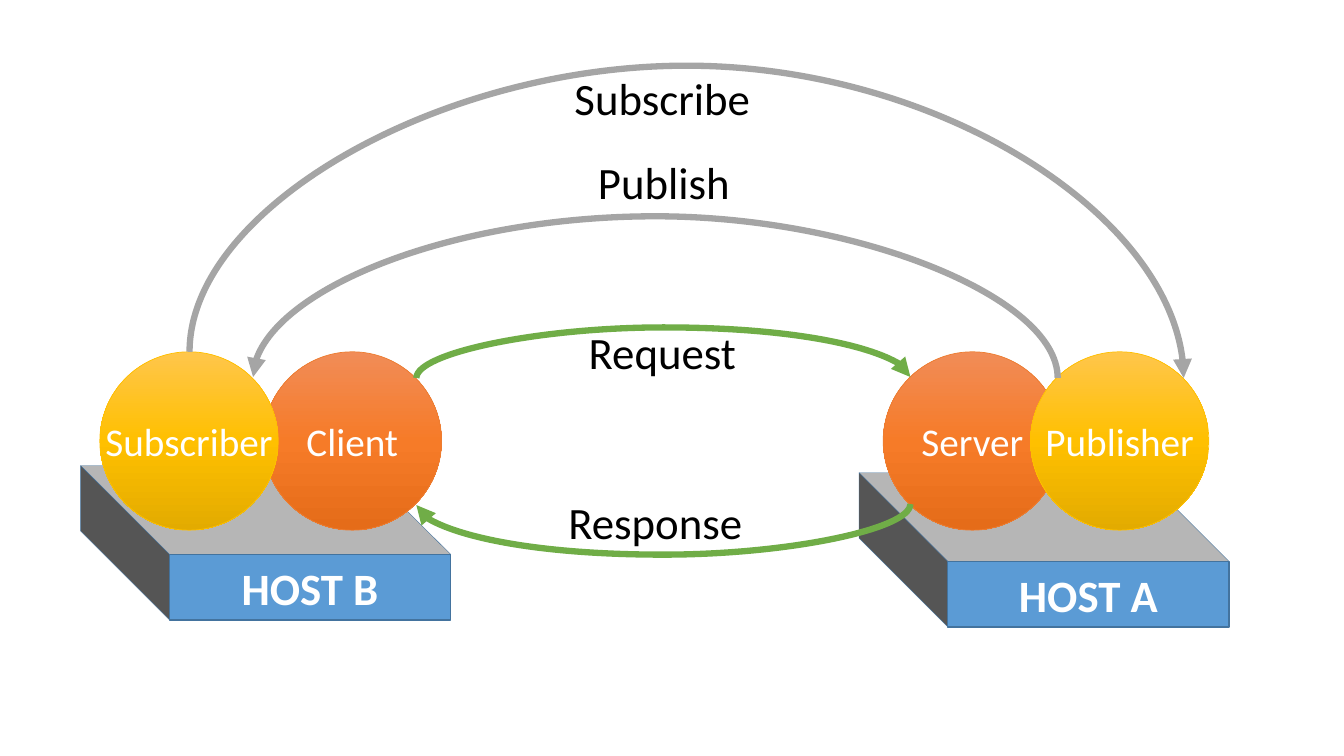
import copy

import lxml.etree
import pptx
import pptx.dml.color
import pptx.enum.shapes
import pptx.enum.text
import pptx.oxml.ns
import pptx.util
from pptx.util import Inches

RGBColor = pptx.dml.color.RGBColor
WHITE = RGBColor(0xFF, 0xFF, 0xFF)
BLACK = RGBColor(0x00, 0x00, 0x00)
BLUE = RGBColor(0x5B, 0x9B, 0xD5)
DARK_BLUE = RGBColor(0x43, 0x73, 0x9E)
LIGHT_GRAY = RGBColor(0xB6, 0xB6, 0xB6)
DARK_GRAY = RGBColor(0x55, 0x55, 0x55)
GRAY = RGBColor(0xA5, 0xA5, 0xA5)
GREEN = RGBColor(0x70, 0xAD, 0x47)
ORANGE = RGBColor(0xED, 0x7D, 0x31)
ORANGE_STOPS = [RGBColor(0xF1, 0x8C, 0x57), RGBColor(0xF6, 0x7B, 0x28), RGBColor(0xE5, 0x6C, 0x19)]
GOLD = RGBColor(0xFF, 0xC0, 0x00)
GOLD_STOPS = [RGBColor(0xFF, 0xC6, 0x4B), GOLD, RGBColor(0xE3, 0xAB, 0x00)]

HOST_WIDTH, HOST_HEIGHT, HOST_DEPTH = 2.79, 0.65, 0.88
CIRCLE_TOP, CIRCLE_SIZE = 3.49, 1.77

HOST_FONT = {"size": pptx.util.Pt(32), "bold": True}
CIRCLE_FONT = {"size": pptx.util.Pt(28)}
LABEL_FONT = {"size": pptx.util.Pt(32)}


def write_text(shape, text, color, font_format, wrap):
    frame = shape.text_frame
    frame.word_wrap = wrap
    para = frame.paragraphs[0]
    para.alignment = pptx.enum.text.PP_ALIGN.CENTER
    span = para.add_run()
    span.text = text
    span.font.name = "Calibri"
    span.font.color.rgb = color
    for name, value in font_format.items():
        setattr(span.font, name, value)


def paint(shape, fill, line, weight):
    shape.shadow.inherit = False
    shape.fill.solid()
    shape.fill.fore_color.rgb = fill
    shape.line.color.rgb = line
    shape.line.width = pptx.util.Pt(weight)


def add_face(page, points, fill):
    corners = [(Inches(x), Inches(y)) for x, y in points]
    builder = page.shapes.build_freeform(*corners[0])
    builder.add_line_segments(corners[1:], close=True)
    paint(builder.convert_to_shape(), fill, DARK_BLUE, 0.25)


def add_host(page, text, left, top):
    right, bottom = left + HOST_WIDTH, top + HOST_HEIGHT
    back_left, back_top = left - HOST_DEPTH, top - HOST_DEPTH
    add_face(page, [(left, top), (right, top), (right - HOST_DEPTH, back_top), (back_left, back_top)], LIGHT_GRAY)
    add_face(page, [(left, top), (left, bottom), (back_left, bottom - HOST_DEPTH), (back_left, back_top)], DARK_GRAY)
    front = page.shapes.add_shape(
        pptx.enum.shapes.MSO_SHAPE.RECTANGLE, Inches(left), Inches(top), Inches(HOST_WIDTH), Inches(HOST_HEIGHT))
    paint(front, BLUE, DARK_BLUE, 1)
    write_text(front, text, WHITE, HOST_FONT, True)


def add_circle(page, text, left, line, stops, wrap):
    circle = page.shapes.add_shape(
        pptx.enum.shapes.MSO_SHAPE.OVAL, Inches(left), Inches(CIRCLE_TOP), Inches(CIRCLE_SIZE), Inches(CIRCLE_SIZE))
    paint(circle, line, line, 0.5)
    circle.fill.gradient()
    circle.fill.gradient_angle = 270
    stop_list = circle._element.spPr.find(".//" + pptx.oxml.ns.qn("a:gsLst"))
    stop_list.append(copy.deepcopy(stop_list[0]))
    for index, (stop, color) in enumerate(zip(circle.fill.gradient_stops, stops)):
        stop.position = index / 2
        stop.color.rgb = color
    write_text(circle, text, WHITE, CIRCLE_FONT, wrap)


def add_label(page, text, left, top, width):
    box = page.shapes.add_textbox(Inches(left), Inches(top), Inches(width), Inches(0.64))
    write_text(box, text, BLACK, LABEL_FONT, False)
    box.text_frame.auto_size = pptx.enum.text.MSO_AUTO_SIZE.SHAPE_TO_FIT_TEXT


def add_arc(page, start, end, bend, color):
    (start_x, start_y), (end_x, end_y) = start, end
    rise, reach = abs(end_y - start_y), abs(end_x - start_x)
    left = (start_x + end_x - rise) / 2
    top = (start_y + end_y - reach) / 2
    arc = page.shapes.add_connector(
        pptx.enum.shapes.MSO_CONNECTOR.CURVE, Inches(left), Inches(top), Inches(left + rise), Inches(top + reach))
    arc.line.color.rgb = color
    arc.line.width = pptx.util.Pt(4.5)
    qn = pptx.oxml.ns.qn
    properties = arc._element.spPr
    frame = properties.find(qn("a:xfrm"))
    frame.set("rot", str(270 * 60000))
    frame.set("flipH", str(int(end_y > start_y)))
    frame.set("flipV", str(int(end_x < start_x)))
    geometry = properties.find(qn("a:prstGeom"))
    adjustments = geometry.get_or_add_avLst()
    ratio = round((bend - start_y) / (end_y - start_y) * 100000)
    lxml.etree.SubElement(adjustments, qn("a:gd"), name="adj1", fmla=f"val {ratio}")
    lxml.etree.SubElement(properties.find(qn("a:ln")), qn("a:tailEnd"), type="triangle")
    lxml.etree.SubElement(properties, qn("a:effectLst"))


def main():
    deck = pptx.Presentation()
    deck.slide_width, deck.slide_height = Inches(13.33), Inches(7.5)
    page = deck.slides.add_slide(deck.slide_layouts[6])

    add_host(page, "HOST A", 9.4, 5.57)
    add_circle(page, "Server", 8.76, ORANGE, ORANGE_STOPS, True)
    add_circle(page, "Publisher", 10.22, GOLD, GOLD_STOPS, False)
    add_host(page, "HOST B", 1.68, 5.5)
    add_circle(page, "Client", 2.61, ORANGE, ORANGE_STOPS, True)
    add_circle(page, "Subscriber", 0.99, GOLD, GOLD_STOPS, False)

    add_arc(page, (4.13, 3.75), (9.03, 3.74), 3.24, GREEN)
    add_arc(page, (9.03, 5), (4.13, 5.01), 5.51, GREEN)
    add_arc(page, (1.88, 3.49), (11.74, 3.75), 0.65, GRAY)
    add_arc(page, (10.49, 3.75), (2.51, 3.74), 2.12, GRAY)

    add_label(page, "Request", 5.73, 3.17, 1.68)
    add_label(page, "Response", 5.53, 4.86, 1.94)
    add_label(page, "Subscribe", 5.59, 0.65, 1.96)
    add_label(page, "Publish", 5.82, 1.49, 1.53)

    deck.save("out.pptx")


if __name__ == "__main__":
    main()
